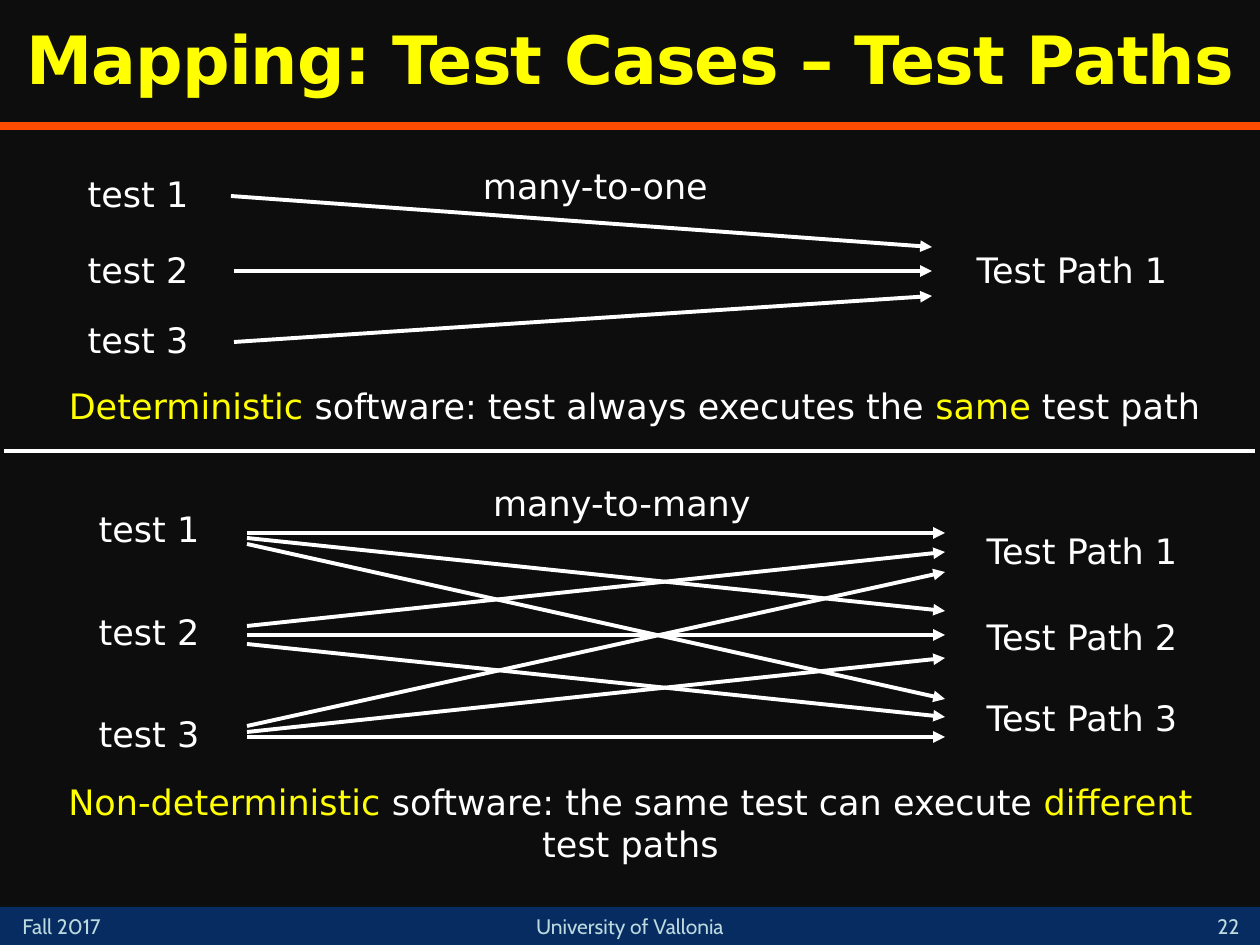
from pptx import Presentation
from pptx.dml.color import RGBColor
from pptx.enum.shapes import MSO_CONNECTOR, MSO_SHAPE
from pptx.enum.text import MSO_ANCHOR, MSO_AUTO_SIZE, PP_ALIGN
from pptx.oxml.ns import qn
from pptx.util import Pt
from lxml import etree

STRAIGHT = MSO_CONNECTOR.STRAIGHT
RECTANGLE = MSO_SHAPE.RECTANGLE
LEFT, CENTER = PP_ALIGN.LEFT, PP_ALIGN.CENTER
TOP, MIDDLE, BOTTOM = MSO_ANCHOR.TOP, MSO_ANCHOR.MIDDLE, MSO_ANCHOR.BOTTOM
NO_AUTO_SIZE = MSO_AUTO_SIZE.NONE

EMU_PER_PIXEL = 914400 / 126
WIDTH, HEIGHT = 1260, 945
BLACK, NAVY, ORANGE = "0D0D0D", "072C62", "FF4C00"
WHITE, YELLOW, PALE_BLUE = "FFFFFF", "FFFF00", "BDDADF"
BODY_FONT, FOOTER_FONT = "DejaVu Sans", "Cabin"


def px(pixels):
    return round(pixels * EMU_PER_PIXEL)


def color(hex_string):
    return RGBColor.from_string(hex_string)


class SlideBuilder:
    """Holds the style and the current slide."""

    def __init__(self, slide):
        self.slide = slide
        slide.background.fill.solid()
        slide.background.fill.fore_color.rgb = color(BLACK)

    def title(self, text, left, top, width, height):
        shape = self.slide.shapes.title
        shape.left, shape.top = px(left), px(top)
        shape.width, shape.height = px(width), px(height)
        frame = shape.text_frame
        frame.auto_size = NO_AUTO_SIZE
        frame.vertical_anchor = MIDDLE
        paragraph = frame.paragraphs[0]
        paragraph.alignment = CENTER
        paragraph.line_spacing = 0.9
        run = paragraph.add_run()
        run.text = text
        self.style(paragraph.font, 38, BODY_FONT, YELLOW)
        paragraph.font.bold = True
        # Tighter letter spacing
        run.font._element.set("spc", "-50")

    def style(self, font, size, name, hex_string):
        font.size = Pt(size)
        font.name = name
        font.color.rgb = color(hex_string)

    def text(self, parts, left, top, width, height, size=20, font=BODY_FONT,
             fill=WHITE, align=CENTER, anchor=TOP):
        """Parts is a string, or a list of (text, colour) pairs."""
        box = self.slide.shapes.add_textbox(px(left), px(top), px(width), px(height))
        frame = box.text_frame
        frame.word_wrap = True
        frame.vertical_anchor = anchor
        paragraph = frame.paragraphs[0]
        paragraph.alignment = align
        self.style(paragraph.font, size, font, fill)
        if isinstance(parts, str):
            parts = [(parts, fill)]
        for words, hex_string in parts:
            run = paragraph.add_run()
            run.text = words
            if hex_string != fill:
                run.font.color.rgb = color(hex_string)

    def rectangle(self, left, top, width, height, fill):
        shape = self.slide.shapes.add_shape(
            RECTANGLE, px(left), px(top), px(width), px(height))
        shape.shadow.inherit = False
        shape.fill.solid()
        shape.fill.fore_color.rgb = color(fill)
        shape.line.fill.background()

    def line(self, start, end, stroke=WHITE, weight=2.25, arrow=False):
        connector = self.slide.shapes.add_connector(
            STRAIGHT, *(px(value) for value in (*start, *end)))
        connector.line.color.rgb = color(stroke)
        connector.line.width = Pt(weight)
        properties = connector._element.spPr
        etree.SubElement(properties, qn("a:effectLst"))
        if arrow:
            outline = properties.find(qn("a:ln"))
            etree.SubElement(outline, qn("a:tailEnd"), type="triangle")


presentation = Presentation()
presentation.slide_width, presentation.slide_height = px(WIDTH), px(HEIGHT)
builder = SlideBuilder(presentation.slides.add_slide(presentation.slide_layouts[5]))

# Footer band and title rule
builder.rectangle(0, 907, WIDTH, 38, NAVY)
builder.line((0, 126), (WIDTH, 126), ORANGE, 4.5)
footer = {"size": 12, "font": FOOTER_FONT, "fill": PALE_BLUE}
builder.text("Fall 2017", 10, 907, 147, 38, align=LEFT, **footer)
builder.text("22", 1197, 903, 63, 42, anchor=BOTTOM, **footer)
builder.text("University of Vallonia", 462, 907, 336, 38, **footer)

# Title
builder.title("Mapping: Test Cases – Test Paths", 0, 0, WIDTH, 126)

# Test and path labels of both diagrams
LABEL_HEIGHT = 55
label_columns = [
    ("test", 66, 144, (166, 242, 312)),
    ("Test Path", 936, 272, (242,)),
    ("test", 77, 144, (501, 604, 706)),
    ("Test Path", 946, 272, (523, 609, 690)),
]
for name, left, width, tops in label_columns:
    for number, top in enumerate(tops, start=1):
        builder.text(f"{name} {number}", left, top, width, LABEL_HEIGHT)
builder.text("many-to-one", 457, 158, 277, LABEL_HEIGHT)
builder.text("many-to-many", 368, 475, 508, LABEL_HEIGHT)

# Many-to-one arrows
for start_x, start_y, end_y in [(231, 196, 247), (234, 271, 271), (234, 342, 296)]:
    builder.line((start_x, start_y), (932, end_y), arrow=True)

# Many-to-many arrows: one row per test, one (start, end) height per path
many_to_many = [
    [(533, 533), (538, 611), (544, 699)],
    [(626, 552), (635, 635), (644, 717)],
    [(726, 572), (732, 658), (737, 737)],
]
for test in many_to_many:
    for start_y, end_y in test:
        builder.line((247, start_y), (945, end_y), arrow=True)

# Conclusions and the divider between the diagrams
builder.text([("Deterministic ", YELLOW), ("software: test always executes the ", WHITE),
              ("same", YELLOW), (" test path", WHITE)], 9, 378, 1251, LABEL_HEIGHT)
builder.line((4, 451), (1255, 451))
builder.text([("Non-deterministic ", YELLOW), ("software: the same test can execute ", WHITE),
              ("different", YELLOW), (" test paths", WHITE)], 18, 774, 1225, 97)

presentation.save("out.pptx")
